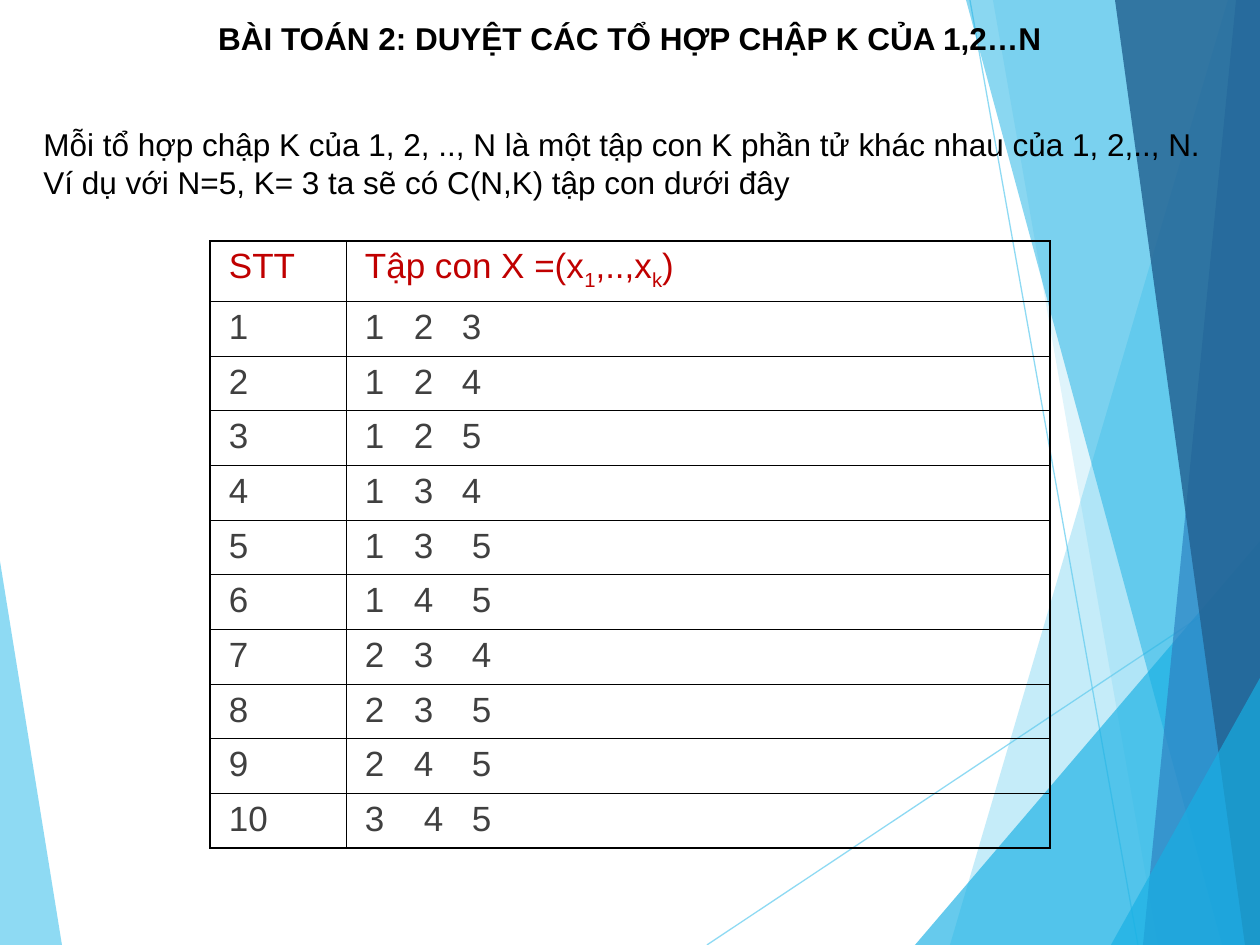
from lxml.etree import SubElement
from pptx import Presentation
from pptx.dml.color import RGBColor
from pptx.enum.shapes import MSO_CONNECTOR
from pptx.enum.text import PP_ALIGN
from pptx.oxml.ns import qn
from pptx.util import Pt

SCALE = 914400 // 126
WIDTH, HEIGHT = 1260, 945
BLACK = RGBColor(0x00, 0x00, 0x00)
GREY = RGBColor(0x40, 0x40, 0x40)
RED = RGBColor(0xC0, 0x00, 0x00)
SKY = RGBColor(0x5F, 0xCB, 0xEF)
CYAN = RGBColor(0x17, 0xB0, 0xE4)
BLUE = RGBColor(0x2E, 0x83, 0xC3)
NAVY = RGBColor(0x23, 0x62, 0x92)
THIN, THICK = Pt(0.45), Pt(1.08)


def px(length):
    """Turn picture pixels into EMU."""
    return length * SCALE


def set_alpha(shape, percent):
    """Make the only colour of a shape partly transparent."""
    colour = shape._element.spPr.find(".//" + qn("a:srgbClr"))
    SubElement(colour, qn("a:alpha"), val=str(percent * 1000))


class SlideBuilder:
    """Holds the text style and the current slide."""

    def __init__(self, slide, font_name):
        """Remember the slide and its font."""
        self.slide = slide
        self.font_name = font_name

    def facet(self, colour, alpha, start, end, side=WIDTH):
        """Fill the area between a slanted edge and a side of the slide."""
        builder = self.slide.shapes.build_freeform(px(start[0]), px(start[1]), scale=1.0)
        corners = [end, (side, HEIGHT), (side, start[1])]
        builder.add_line_segments([(px(x), px(y)) for x, y in corners], close=True)
        shape = builder.convert_to_shape()
        shape.shadow.inherit = False
        shape.fill.solid()
        shape.fill.fore_color.rgb = colour
        shape.line.fill.background()
        set_alpha(shape, alpha)

    def line(self, start, end):
        """Draw a thin translucent line."""
        connector = self.slide.shapes.add_connector(
            MSO_CONNECTOR.STRAIGHT, *map(px, start + end))
        connector.line.color.rgb = SKY
        connector.line.width = Pt(0.74)
        set_alpha(connector, 70)
        SubElement(connector._element.spPr, qn("a:effectLst"))

    def put_text(self, paragraph, text, size, colour, bold=False):
        """Fill a paragraph with text in one style."""
        paragraph.text = text
        self.style(paragraph, size, colour, bold)

    def style(self, paragraph, size, colour, bold=False):
        """Set the font of a paragraph."""
        font = paragraph.font
        font.name, font.size, font.bold = self.font_name, Pt(size), bold
        font.color.rgb = colour

    def heading(self, box, title, body):
        """Add a text box with a centred title above a body paragraph."""
        frame = self.slide.shapes.add_textbox(*map(px, box)).text_frame
        frame.word_wrap = True
        self.put_text(frame.paragraphs[0], title, 18, BLACK, bold=True)
        frame.paragraphs[0].alignment = PP_ALIGN.CENTER
        paragraph = frame.add_paragraph()
        self.put_text(paragraph, body, 18, BLACK)
        paragraph.space_before = Pt(39)

    def table(self, left, top, widths, header_height, body_height, row_count):
        """Add an unfilled table with thin inner and thick outer borders."""
        total = header_height + body_height
        table = self.slide.shapes.add_table(
            row_count, len(widths), px(left), px(top), px(sum(widths)), px(total)).table
        table.first_row = table.horz_banding = False
        for column, width in zip(table.columns, widths):
            column.width = px(width)
        for index, row in enumerate(table.rows):
            row.height = px(body_height) // (row_count - 1) if index else px(header_height)
            for position, cell in enumerate(row.cells):
                self.borders(cell, {
                    "L": position == 0, "R": position == len(widths) - 1,
                    "T": index == 0, "B": index == row_count - 1})
                cell.fill.background()
                cell.margin_left = px(19)
                paragraph = cell.text_frame.paragraphs[0]
                paragraph.space_before, paragraph.space_after = Pt(5), Pt(3)
        return table

    def borders(self, cell, outer_sides):
        """Draw the four borders of a cell, thick on outer sides."""
        properties = cell._tc.get_or_add_tcPr()
        for side, outer in outer_sides.items():
            line = SubElement(properties, qn("a:ln" + side), w=str(THICK if outer else THIN))
            fill = SubElement(line, qn("a:solidFill"))
            SubElement(fill, qn("a:srgbClr"), val=str(BLACK))

    def subscripts(self, paragraph, parts, size, colour):
        """Set parts in turn as normal text and as subscript."""
        for index, part in enumerate(parts):
            run = paragraph.add_run()
            run.text = part
            if index % 2:
                run._r.get_or_add_rPr().set("baseline", "-25000")
        self.style(paragraph, size, colour)

    def tab_stops(self, paragraph, stops):
        """Give a paragraph left tab stops."""
        tab_list = SubElement(paragraph._p.get_or_add_pPr(), qn("a:tabLst"))
        for stop in stops:
            SubElement(tab_list, qn("a:tab"), pos=str(px(stop)), algn="l")


def draw_background(builder):
    """Draw the coloured facets and lines at the sides."""
    builder.facet(SKY, 70, (0, 561), (62, HEIGHT), side=0)
    builder.line((707, HEIGHT), (WIDTH, 577))
    builder.line((970, 0), (1138, HEIGHT))
    for colour, alpha, start, end in [
        (SKY, 36, (1228, 0), (950, HEIGHT)),
        (SKY, 20, (993, 0), (1158, HEIGHT)),
        (CYAN, 66, (WIDTH, 541), (915, HEIGHT)),
        (CYAN, 50, (966, 0), (1222, HEIGHT)),
        (BLUE, 70, (1236, 0), (1143, HEIGHT)),
        (NAVY, 82, (1115, 0), (1245, HEIGHT)),
        (CYAN, 66, (WIDTH, 678), (1111, HEIGHT)),
    ]:
        builder.facet(colour, alpha, start, end)


def draw_subsets(builder):
    """Draw the numbered table of subsets."""
    near, far, late = (49, 97), (49, 107), (59, 107)
    subsets = [("123", near), ("124", near), ("125", near), ("134", near),
               ("135", far), ("145", far), ("234", far), ("235", far),
               ("245", far), ("345", late)]
    table = builder.table(210, 241, (136, 704), 60, 547, len(subsets) + 1)

    def paragraph_at(row, column):
        """Return the paragraph of a cell."""
        return table.cell(row, column).text_frame.paragraphs[0]

    builder.put_text(paragraph_at(0, 0), "STT", 20, RED)
    builder.subscripts(paragraph_at(0, 1), ["Tập con X =(x", "1", ",..,x", "k", ")"], 20, RED)
    for number, (digits, stops) in enumerate(subsets, 1):
        builder.put_text(paragraph_at(number, 0), str(number), 20, GREY)
        subset = paragraph_at(number, 1)
        builder.tab_stops(subset, stops)
        builder.put_text(subset, "\t".join(digits), 20, GREY)


def main():
    """Build and save the presentation."""
    presentation = Presentation()
    presentation.slide_width, presentation.slide_height = px(WIDTH), px(HEIGHT)
    slide = presentation.slides.add_slide(presentation.slide_layouts[6])
    builder = SlideBuilder(slide, "Arial")
    draw_background(builder)
    builder.heading(
        (31, 13, 1198, 195),
        "BÀI TOÁN 2: DUYỆT CÁC TỔ HỢP CHẬP K CỦA 1,2…N",
        "Mỗi tổ hợp chập K của 1, 2, .., N là một tập con K phần tử khác nhau "
        "của 1, 2,.., N. Ví dụ với N=5, K= 3 ta sẽ có C(N,K) tập con dưới đây")
    draw_subsets(builder)
    presentation.save("out.pptx")


main()
